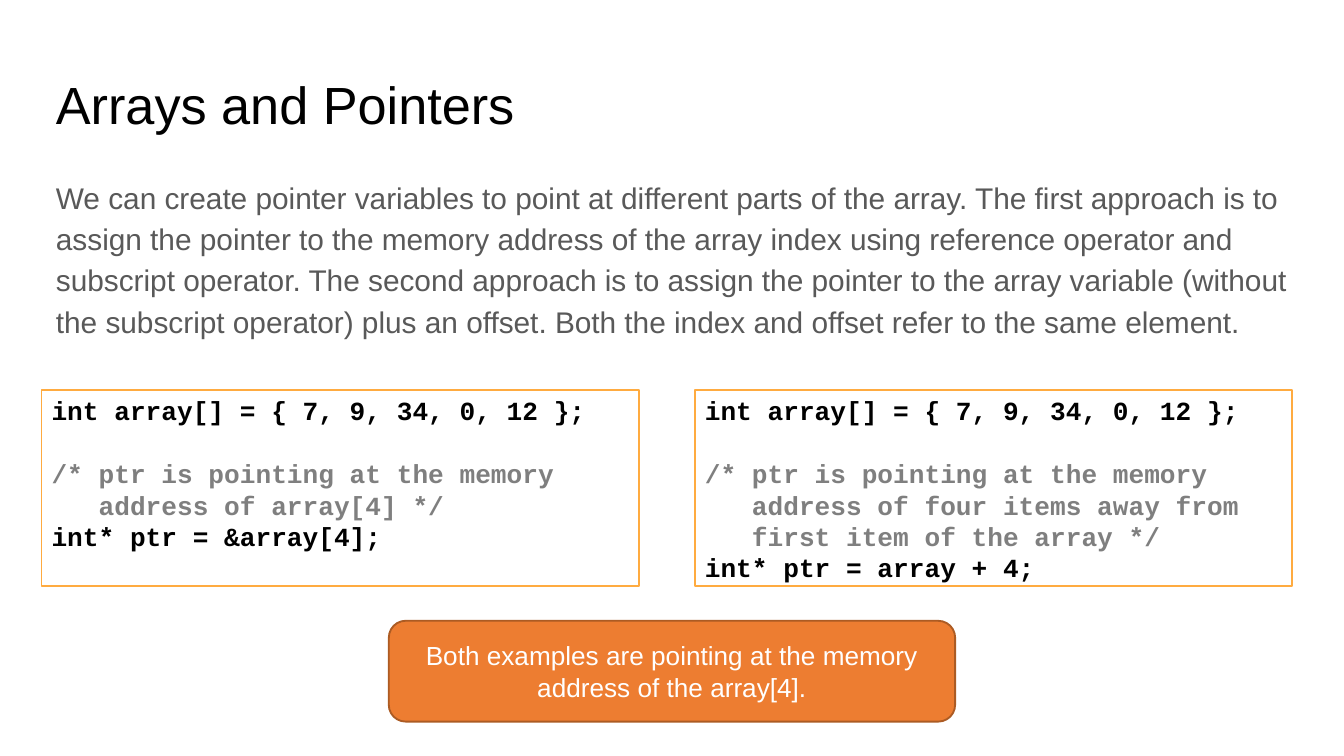
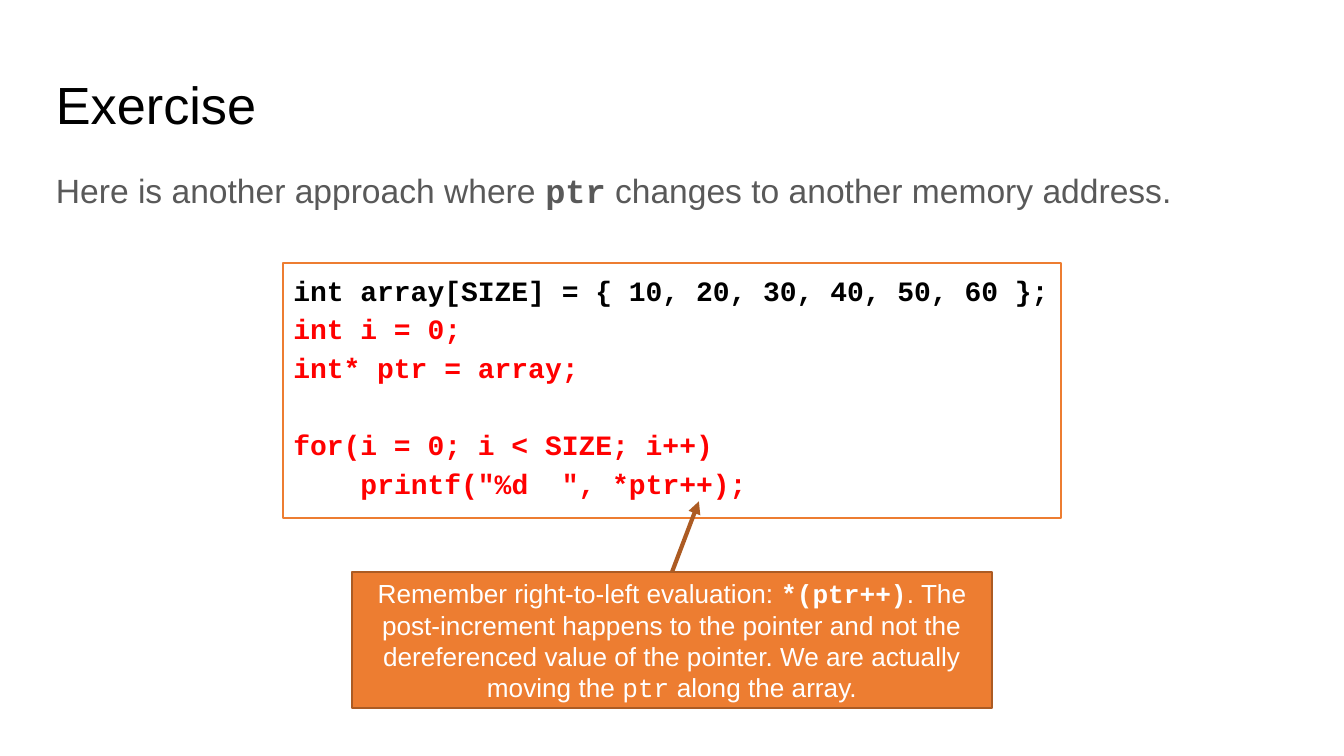
import dataclasses

import pptx
import pptx.dml.color
import pptx.enum.shapes
import pptx.enum.text
import pptx.oxml
import pptx.oxml.ns
import pptx.util

Pt = pptx.util.Pt
Shape = pptx.enum.shapes.MSO_SHAPE
Anchor = pptx.enum.text.MSO_ANCHOR
Align = pptx.enum.text.PP_ALIGN


@dataclasses.dataclass(frozen=True)
class Theme:
    """Colours, fonts, type sizes and shared measures of the deck."""
    sans: str = "Arial"
    mono: str = "Courier New"
    black: str = "000000"
    white: str = "FFFFFF"
    grey: str = "595959"
    faint: str = "7F7F7F"
    red: str = "FF0000"
    amber: str = "FFAB40"
    orange: str = "ED7D31"
    brown: str = "AC5B23"
    title: float = 28
    lead: float = 18
    body: float = 16
    code: float = 14
    large: float = 15
    note: float = 14
    left: float = 24.55
    width: float = 671
    inset: tuple = (5.4, 2.7)


THEME = Theme()
BOLD = {"font": THEME.mono, "bold": True}
MONO = {"font": THEME.mono}


def tint(code):
    """Return the colour for a hex code."""
    return pptx.dml.color.RGBColor.from_string(code)


def write(shape, text, *, size, color, font=THEME.sans, bold=False,
          align=Align.LEFT, space=1.0, before=0, after=0):
    """Add one paragraph from a string or a list of (text, changes) runs."""
    frame = shape.text_frame
    para = frame.paragraphs[0]
    if para.runs:
        para = frame.add_paragraph()
    para.alignment = align
    para.line_spacing = space
    para.space_before = Pt(before)
    para.space_after = Pt(after)
    for part, change in [(text, {})] if isinstance(text, str) else text:
        run = para.add_run()
        run.text = part
        run.font.name = change.get("font", font)
        run.font.bold = change.get("bold", bold)
        run.font.size = Pt(size)
        run.font.color.rgb = tint(color)


def frame(shape, inset, anchor):
    """Set the wrap, margins and anchor of a shape's text."""
    text = shape.text_frame
    text.word_wrap = True
    text.vertical_anchor = anchor
    text.margin_left = text.margin_right = Pt(inset[0])
    text.margin_top = text.margin_bottom = Pt(inset[1])


def field(slide, top, height, anchor):
    """Add a text box across the full column."""
    box = slide.shapes.add_textbox(Pt(THEME.left), Pt(top), Pt(THEME.width), Pt(height))
    frame(box, THEME.inset, anchor)
    return box


def page(deck, title, body, size, space):
    """Add a slide with its title and body text."""
    slide = deck.slides.add_slide(deck.slide_layouts[6])
    write(field(slide, 35.1, 45.4, Anchor.MIDDLE), title,
          size=THEME.title, color=THEME.black, space=0.9)
    write(field(slide, 90.75, 269.3, Anchor.TOP), body,
          size=size, color=THEME.grey, space=space, after=16)
    return slide


def panel(slide, kind, place, fill, edge, inset, anchor):
    """Add a filled and outlined shape."""
    shape = slide.shapes.add_shape(kind, *map(Pt, place))
    shape.shadow.inherit = False
    shape.fill.solid()
    shape.fill.fore_color.rgb = tint(fill)
    shape.line.color.rgb = tint(edge)
    shape.line.width = Pt(1)
    frame(shape, inset, anchor)
    return shape


def code(slide, place, lines, size, edge, space=1.0):
    """Add a code panel, where an empty line opens a gap of one line."""
    box = panel(slide, Shape.RECTANGLE, place, THEME.white, edge, THEME.inset, Anchor.TOP)
    gap = 0
    for text, color in lines:
        if text:
            write(box, text, size=size, color=color, font=THEME.mono,
                  bold=True, space=space, before=gap)
        gap = 0 if text else 1.2 * size * space


def note(slide, kind, place, text, inset):
    """Add an orange note with centred text."""
    box = panel(slide, kind, place, THEME.orange, THEME.brown, inset, Anchor.MIDDLE)
    write(box, text, size=THEME.note, color=THEME.white, align=Align.CENTER)
    return box


def arrow(slide, box, x, y):
    """Draw an arrow from the top of a box to a point."""
    line = slide.shapes.add_connector(
        pptx.enum.shapes.MSO_CONNECTOR.STRAIGHT, box.left, box.top, Pt(x), Pt(y))
    line.begin_connect(box, 0)
    line.line.color.rgb = tint(THEME.brown)
    line.line.width = Pt(2.25)
    name = pptx.oxml.ns.qn
    props = line._element.spPr
    tail = props.find(name("a:ln")).makeelement(name("a:tailEnd"), {"type": "triangle"})
    props.find(name("a:ln")).append(tail)
    props.append(props.makeelement(name("a:effectLst"), {}))


def arrays(deck):
    """Build the slide on arrays and pointers."""
    slide = page(
        deck, "Arrays and Pointers",
        "We can create pointer variables to point at different parts of the array. "
        "The first approach is to assign the pointer to the memory address of the array "
        "index using reference operator and subscript operator. The second approach is to "
        "assign the pointer to the array variable (without the subscript operator) plus an "
        "offset. Both the index and offset refer to the same element.",
        THEME.body, 1.15)
    head = [("int array[] = { 7, 9, 34, 0, 12 };", THEME.black), ("", THEME.black),
            ("/* ptr is pointing at the memory", THEME.faint)]
    tails = [
        [("   address of array[4] */", THEME.faint),
         ("int* ptr = &array[4];", THEME.black)],
        [("   address of four items away from", THEME.faint),
         ("   first item of the array */", THEME.faint),
         ("int* ptr = array + 4;", THEME.black)],
    ]
    for col, tail in enumerate(tails):
        code(slide, (22.2 + 350 * col, 208.8, 320, 105.2), head + tail,
             THEME.code, THEME.amber)
    note(slide, Shape.ROUNDED_RECTANGLE, (208.3, 332.6, 303.4, 54),
         "Both examples are pointing at the memory address of the array[4].", (7.2, 3.6))


def drill(deck):
    """Build the exercise slide."""
    slide = page(
        deck, "Exercise",
        [("Here is another approach where ", {}), ("ptr", BOLD),
         (" changes to another memory address.", {})],
        THEME.lead, 0.9)
    steps = ["int i = 0;", "int* ptr = array;", "", "for(i = 0; i < SIZE; i++)",
             "\tprintf(\"%d  \", *ptr++);"]
    lines = [("int array[SIZE] = { 10, 20, 30, 40, 50, 60 };", THEME.black)]
    lines += [(step, THEME.red) for step in steps]
    code(slide, (151.7, 141, 416.6, 136.6), lines, THEME.large, THEME.orange, 1.15)
    box = note(
        slide, Shape.RECTANGLE, (188.5, 306.5, 343, 73),
        [("Remember right-to-left evaluation: ", {}), ("*(ptr++)", BOLD),
         (". The post-increment happens to the pointer and not the dereferenced value "
          "of the pointer. We are actually moving the ", {}),
         ("ptr", MONO), (" along the array.", {})],
        (7.2, 7.2))
    arrow(slide, box, 374.4, 268.6)


def main():
    """Build and save the deck."""
    deck = pptx.Presentation()
    deck.slide_width = Pt(720)
    deck.slide_height = Pt(405)
    arrays(deck)
    drill(deck)
    deck.save("out.pptx")


if __name__ == "__main__":
    main()
